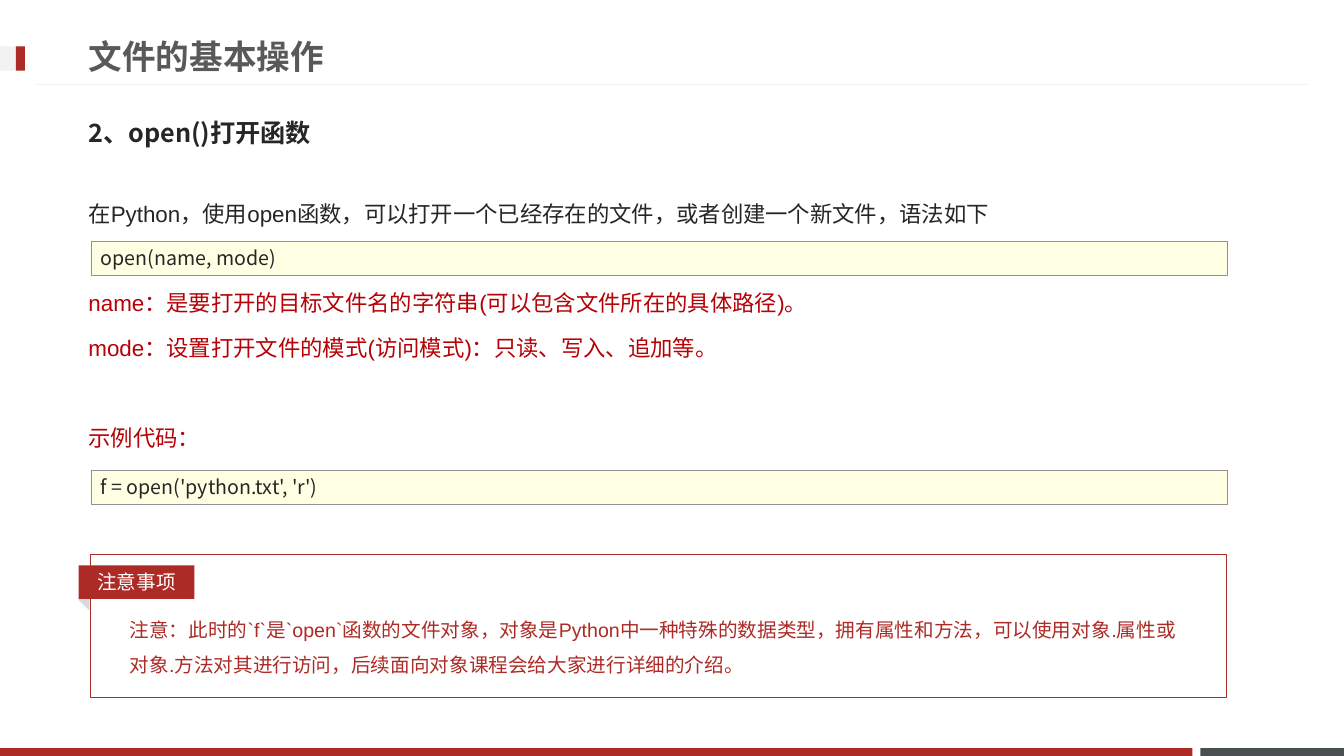
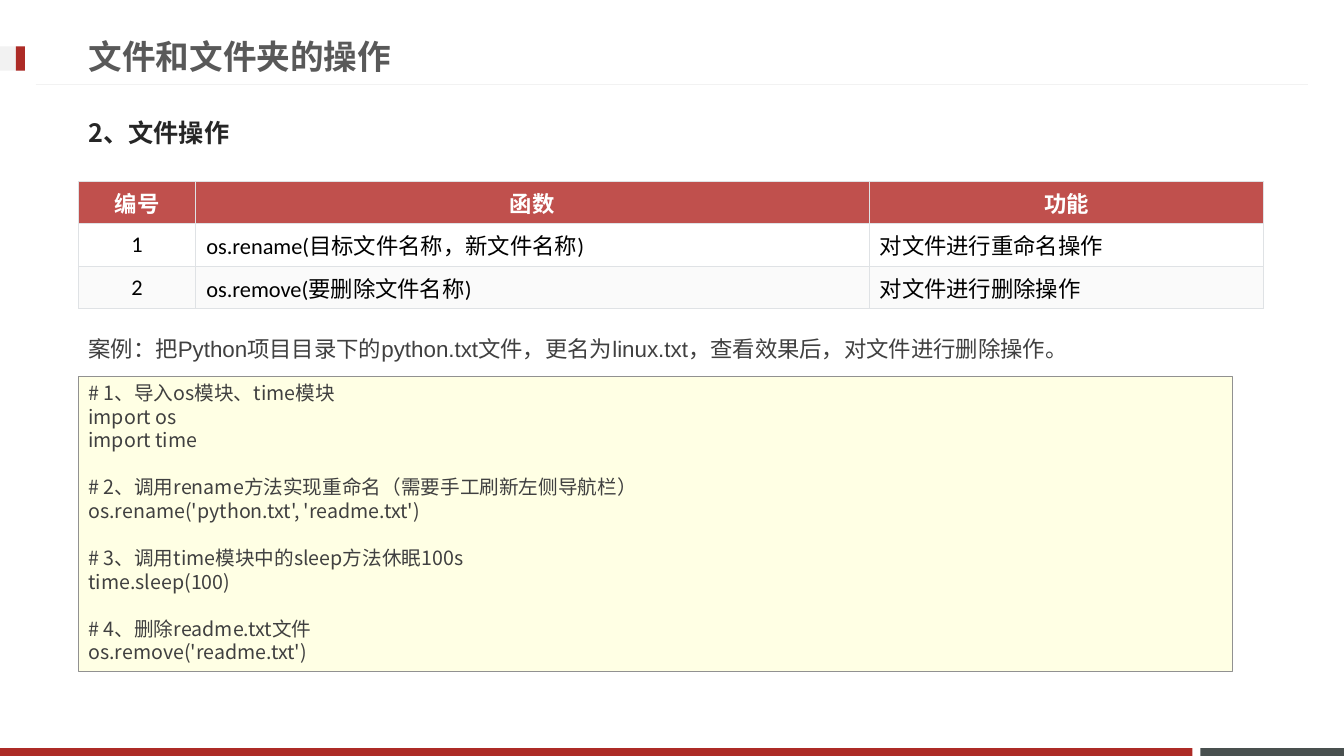
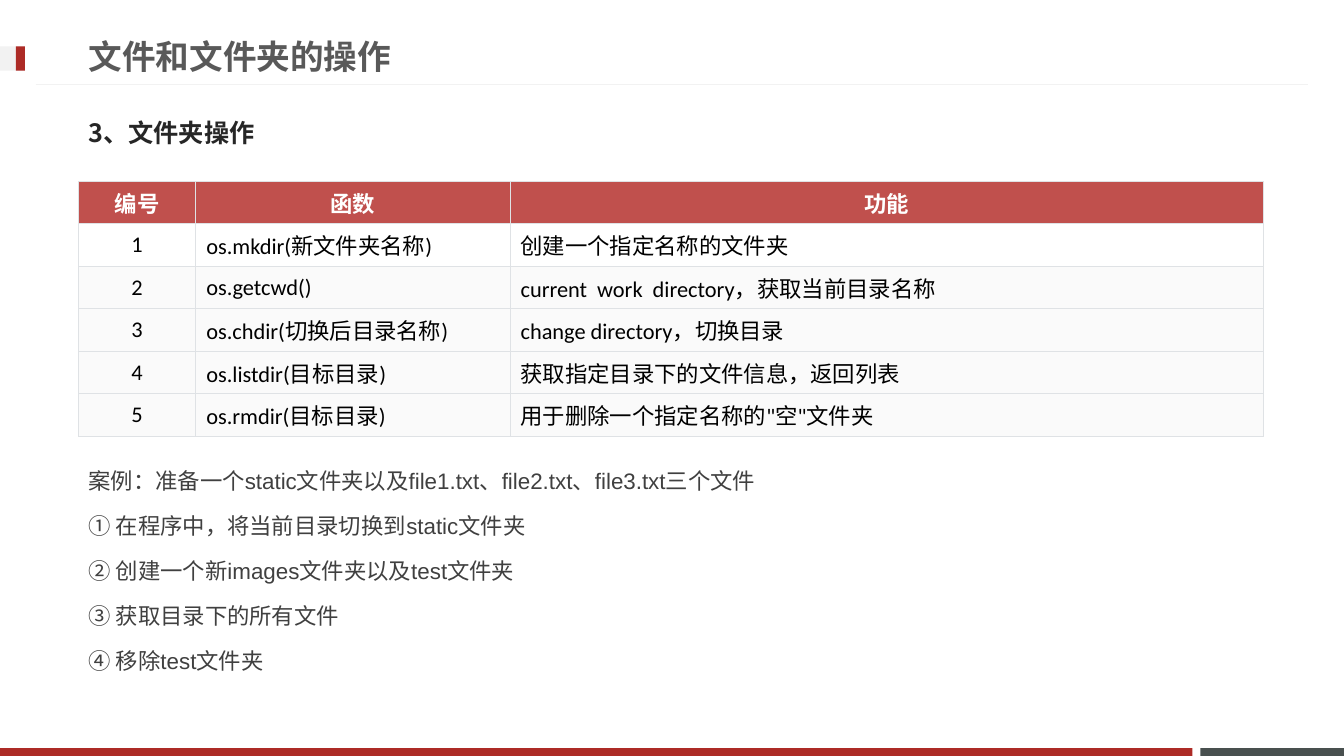
from lxml.etree import SubElement
from pptx import Presentation
from pptx.dml.color import RGBColor
from pptx.enum.lang import MSO_LANGUAGE_ID as Language
from pptx.enum.shapes import MSO_CONNECTOR as Connector, MSO_SHAPE as Shape
from pptx.enum.text import MSO_ANCHOR as Anchor, PP_ALIGN as Align
from pptx.oxml.ns import qn
from pptx.util import Cm, Pt

RED = "AD2B26"
KEYWORD_RED = "B60206"
DARK = "262626"
BODY_GREY = "404040"
TITLE_GREY = "595959"
SLATE = "49504F"
PALE = "F2F2F2"
FOLD_GREY = "D9D9D9"
CODE_FILL = "FFFFE4"
CODE_LINE = "919191"
HEADER_FILL = "C0504D"
ROW_FILL = "FAFAFA"
TABLE_LINE = "DFE2E5"
WHITE = "FFFFFF"
BLACK = "000000"

LATIN = "Arial"
CJK = "Noto Sans CJK JP"
TABLE_FONT = "Calibri"

LEFT = 1.98
CONTENT_WIDTH = 29.87
ROW_HEIGHT = 1.07
BODY_GAP = 3.2
BODY_LINE = 32.2
CODE_GAP = 16.8


def color(hex_text):
    return RGBColor.from_string(hex_text)


def box(left, top, width, height):
    return Cm(left), Cm(top), Cm(width), Cm(height)


def format_paragraph(paragraph, size, hex_text, name=LATIN, bold=False,
                     align=Align.LEFT, spacing=1.0, before=0):
    paragraph.alignment = align
    paragraph.line_spacing = spacing
    paragraph.space_before = Pt(before)
    for run in paragraph.runs:
        font = run.font
        font.size = Pt(size)
        font.bold = bold
        font.name = name
        font.language_id = Language.SIMPLIFIED_CHINESE
        font.color.rgb = color(hex_text)
        SubElement(font._element, qn("a:ea"), typeface=CJK)


def add_box(slide, place, fill=None, line=None, line_width=0.75, kind=Shape.RECTANGLE):
    shape = slide.shapes.add_shape(kind, *box(*place))
    shape.shadow.inherit = False
    if fill:
        shape.fill.solid()
        shape.fill.fore_color.rgb = color(fill)
    else:
        shape.fill.background()
    if line:
        shape.line.color.rgb = color(line)
        shape.line.width = Pt(line_width)
    else:
        shape.line.fill.background()
    return shape


def add_rule(slide, left, right, top):
    rule = slide.shapes.add_connector(
        Connector.STRAIGHT, Cm(left), Cm(top), Cm(right), Cm(top))
    rule.line.color.rgb = color(PALE)
    rule.line.width = Pt(0.75)
    SubElement(rule.element.spPr, qn("a:effectLst"))
    return rule


def add_text(slide, place, lines, size, hex_text, anchor=Anchor.TOP, **style):
    text_frame = slide.shapes.add_textbox(*box(*place)).text_frame
    text_frame.word_wrap = True
    text_frame.vertical_anchor = anchor
    text_frame.text = "\n".join(lines)
    for paragraph in text_frame.paragraphs:
        format_paragraph(paragraph, size, hex_text, **style)
    return text_frame


def add_body(slide, top, height, lines, hex_text=BODY_GREY):
    return add_text(slide, (LEFT, top, CONTENT_WIDTH, height), lines, 16, hex_text,
                    spacing=1.5, before=BODY_GAP)


def add_code(slide, place, lines, hex_text=DARK):
    shape = add_box(slide, place, CODE_FILL, CODE_LINE, 0.25)
    text_frame = shape.text_frame
    text_frame.vertical_anchor = Anchor.TOP
    text_frame.text = "\n".join(lines)
    for index, paragraph in enumerate(text_frame.paragraphs):
        starts_step = index > 0 and paragraph.text.startswith("#")
        format_paragraph(paragraph, 14, hex_text, CJK,
                         before=CODE_GAP if starts_step else 0)


def add_borders(cell):
    properties = cell._tc.get_or_add_tcPr()
    for side in ("lnL", "lnR", "lnT", "lnB"):
        line = SubElement(properties, qn(f"a:{side}"), w=str(Pt(0.6)))
        fill = SubElement(line, qn("a:solidFill"))
        SubElement(fill, qn("a:srgbClr"), val=TABLE_LINE)


def add_function_table(slide, widths, functions):
    rows = [("编号", "函数", "功能")]
    rows += [(str(number), *entry) for number, entry in enumerate(functions, 1)]
    place = box(LEFT, 4.57, sum(widths), ROW_HEIGHT * len(rows))
    table = slide.shapes.add_table(len(rows), len(widths), *place).table
    table.horz_banding = False
    for column, width in zip(table.columns, widths):
        column.width = Cm(width)
    for row_index, row in enumerate(rows):
        is_header = row_index == 0
        fill = (HEADER_FILL, WHITE)[row_index] if row_index < 2 else ROW_FILL
        for column_index, text in enumerate(row):
            cell = table.cell(row_index, column_index)
            add_borders(cell)
            cell.fill.solid()
            cell.fill.fore_color.rgb = color(fill)
            cell.vertical_anchor = Anchor.MIDDLE
            cell.margin_left = cell.margin_right = Cm(0.27)
            cell.margin_top = cell.margin_bottom = Cm(0.13)
            cell.text = text
            centred = is_header or column_index == 0
            format_paragraph(cell.text_frame.paragraphs[0], 16,
                             WHITE if is_header else BLACK, TABLE_FONT, is_header,
                             Align.CENTER if centred else Align.LEFT)


def add_frame(slide, layout):
    parts = [
        add_box(slide, (30.25, 18.85, 3.62, 0.2), SLATE),
        add_box(slide, (0, 18.85, 30.05, 0.2), RED),
        add_rule(slide, 0.9, 32.97, 2.13),
        add_box(slide, (0, 1.17, 0.63, 0.61), PALE),
        add_box(slide, (0.4, 1.17, 0.23, 0.61), RED),
    ]
    for part in parts:
        layout.shapes.element.append(part.element)


def add_slide(presentation, layout, title_text, heading):
    slide = presentation.slides.add_slide(layout)
    title = slide.shapes.title
    title.left, title.top, title.width, title.height = box(LEFT, 0.69, 24.36, 1.45)
    title.text_frame.text = title_text
    title.text_frame.vertical_anchor = Anchor.MIDDLE
    format_paragraph(title.text_frame.paragraphs[0], 24, TITLE_GREY, bold=True)
    add_text(slide, (LEFT, 2.62, CONTENT_WIDTH, 1.45), [heading], 18, DARK,
             Anchor.MIDDLE, name=CJK, bold=True)
    return slide


def add_notice(slide, label, text):
    fold = add_box(slide, (1.98, 15.04, 0.41, 0.23), FOLD_GREY,
                   kind=Shape.ISOSCELES_TRIANGLE)
    fold.rotation = 44.2
    add_text(slide, (3.02, 15.14, 27.15, 2.06), [text], 14, RED, spacing=1.5)
    add_box(slide, (2.29, 13.97, 28.63, 3.61), line=RED)
    tag = add_box(slide, (1.98, 14.25, 2.92, 0.84), RED)
    tag.text_frame.text = label
    tag.text_frame.vertical_anchor = Anchor.MIDDLE
    format_paragraph(tag.text_frame.paragraphs[0], 14, WHITE, align=Align.CENTER)


def build_open_slide(presentation, layout):
    slide = add_slide(presentation, layout, "文件的基本操作", "2、open()打开函数")
    add_frame(slide, layout)
    text_frame = add_body(slide, 4.57, 11.71, [
        "在Python，使用open函数，可以打开一个已经存在的文件，或者创建一个新文件，语法如下",
        "name：是要打开的目标文件名的字符串(可以包含文件所在的具体路径)。",
        "mode：设置打开文件的模式(访问模式)：只读、写入、追加等。",
        "示例代码：",
    ], KEYWORD_RED)
    intro, name_line, _, example = text_frame.paragraphs
    intro.runs[0].font.color.rgb = color(DARK)
    for paragraph in (name_line, example):
        paragraph.space_before = Pt(BODY_GAP + BODY_LINE)
    for top, code in ((6.08, "open(name, mode)"),
                      (11.84, "f = open('python.txt', 'r')")):
        add_code(slide, (2.29, top, 28.63, 0.86), [code])
    add_notice(slide, "注意事项",
               "注意：此时的`f`是`open`函数的文件对象，对象是Python中一种特殊的数据类型，"
               "拥有属性和方法，可以使用对象.属性或对象.方法对其进行访问，"
               "后续面向对象课程会给大家进行详细的介绍。")


def build_file_slide(presentation, layout):
    slide = add_slide(presentation, layout, "文件和文件夹的操作", "2、文件操作")
    add_function_table(slide, (2.95, 16.97, 9.95), [
        ("os.rename(目标文件名称，新文件名称)", "对文件进行重命名操作"),
        ("os.remove(要删除文件名称)", "对文件进行删除操作"),
    ])
    add_body(slide, 7.97, 1.3, [
        "案例：把Python项目目录下的python.txt文件，更名为linux.txt，"
        "查看效果后，对文件进行删除操作。",
    ])
    add_code(slide, (LEFT, 9.48, 29.08, 7.44), [
        "# 1、导入os模块、time模块",
        "import os",
        "import time",
        "# 2、调用rename方法实现重命名（需要手工刷新左侧导航栏）",
        "os.rename('python.txt', 'readme.txt')",
        "# 3、调用time模块中的sleep方法休眠100s",
        "time.sleep(100)",
        "# 4、删除readme.txt文件",
        "os.remove('readme.txt')",
    ], BODY_GREY)


def build_folder_slide(presentation, layout):
    slide = add_slide(presentation, layout, "文件和文件夹的操作", "3、文件夹操作")
    add_function_table(slide, (2.95, 7.92, 19.0), [
        ("os.mkdir(新文件夹名称)", "创建一个指定名称的文件夹"),
        ("os.getcwd()", "current  work  directory，获取当前目录名称"),
        ("os.chdir(切换后目录名称)", "change directory，切换目录"),
        ("os.listdir(目标目录)", "获取指定目录下的文件信息，返回列表"),
        ("os.rmdir(目标目录)", "用于删除一个指定名称的\"空\"文件夹"),
    ])
    add_body(slide, 11.32, 5.9, [
        "案例：准备一个static文件夹以及file1.txt、file2.txt、file3.txt三个文件",
        "① 在程序中，将当前目录切换到static文件夹",
        "② 创建一个新images文件夹以及test文件夹",
        "③ 获取目录下的所有文件",
        "④ 移除test文件夹",
    ])


def main():
    presentation = Presentation()
    presentation.slide_width = Cm(33.87)
    presentation.slide_height = Cm(19.05)
    layout = presentation.slide_layouts.get_by_name("Title Only")
    build_open_slide(presentation, layout)
    build_file_slide(presentation, layout)
    build_folder_slide(presentation, layout)
    presentation.save("out.pptx")


if __name__ == "__main__":
    main()
